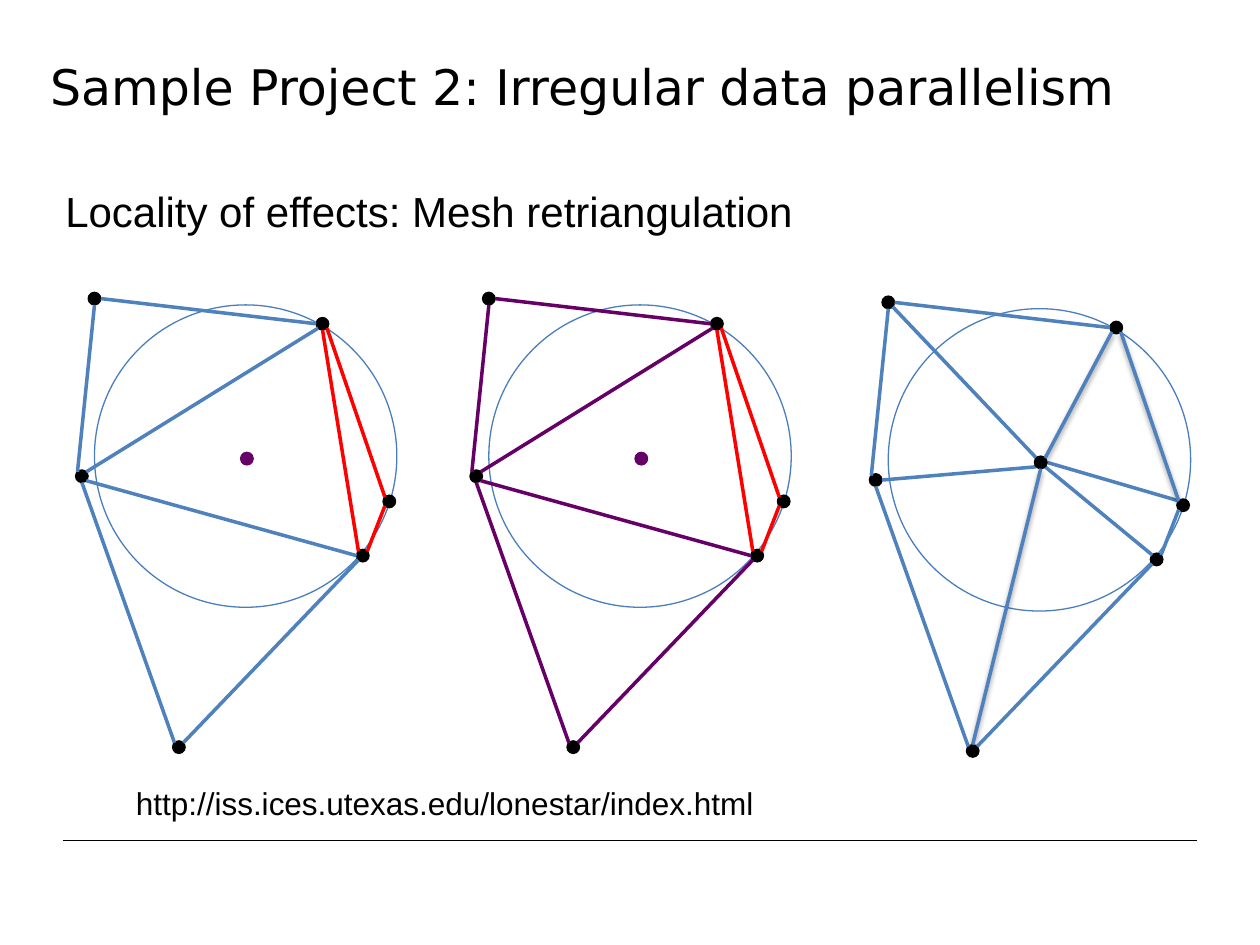
from dataclasses import dataclass

from lxml import etree
from pptx import Presentation
from pptx.dml.color import RGBColor
from pptx.enum.shapes import MSO_CONNECTOR, MSO_SHAPE
from pptx.enum.text import MSO_ANCHOR
from pptx.oxml.ns import qn
from pptx.util import Inches, Pt

STRAIGHT = MSO_CONNECTOR.STRAIGHT
OVAL = MSO_SHAPE.OVAL
TOP, MIDDLE = MSO_ANCHOR.TOP, MSO_ANCHOR.MIDDLE


@dataclass(frozen=True)
class Theme:
    ink: str = "000000"
    circle: str = "4B7EBC"
    mesh: str = "4F81BD"
    cavity: str = "660066"
    bad: str = "FF0000"
    title_font: str = "DejaVu Sans"
    body_font: str = "Arial"
    title_size: int = 28
    heading_size: int = 24
    link_size: int = 18
    edge_width: float = 2
    thin_width: float = 0.75
    rule_width: float = 0.5


THEME = Theme()
WIDTH, HEIGHT = Inches(10), Inches(7.5)
COLUMNS, ROWS = 100, 75

DOT = 1
CIRCLE = (1.5, 1, 24, 24)
VERTICES = {
    "NW": (1.5, 0.5), "NE": (19.6, 2.5), "W": (0.5, 14.6),
    "E": (24.9, 16.6), "SE": (22.8, 20.9), "S": (8.2, 36.1),
}
CENTER = (13.6, 13.2)
DIAGONAL = 0.35
SITES = {
    "t": (0, -0.5), "b": (0, 0.5), "l": (-0.5, 0), "r": (0.5, 0),
    "tl": (-DIAGONAL, -DIAGONAL), "tr": (DIAGONAL, -DIAGONAL),
    "bl": (-DIAGONAL, DIAGONAL), "br": (DIAGONAL, DIAGONAL),
}
OUTLINE = ["NE.l NW.r", "NW.b W.tl", "W.b S.tl", "S.tr SE.bl"]
OLD_INNER = ["NE.bl W.tr", "SE.l W.br"]
BAD_TRIANGLE = ["NE.br E.tl", "E.bl SE.tr", "NE.b SE.tl"]
NEW_INNER = ["C.tl NW.br", "C.bl W.r", "C.r E.tl", "E.bl SE.tr", "C.br SE.tl"]
NEW_SHADED = ["C.b S.t", "NE.bl C.tr", "NE.br E.tl"]


def col(count):
    return round(WIDTH * count / COLUMNS)


def row(count):
    return round(HEIGHT * count / ROWS)


def rgb(value):
    return RGBColor.from_string(value)


def add_line(slide, start, end, color, width, shaded=False):
    line = slide.shapes.add_connector(
        STRAIGHT, col(start[0]), row(start[1]), col(end[0]), row(end[1]))
    line.line.color.rgb = rgb(color)
    line.line.width = Pt(width)
    effects = etree.SubElement(line._element.spPr, qn("a:effectLst"))
    if shaded:
        shadow = etree.SubElement(
            effects, qn("a:outerShdw"), blurRad=str(Pt(3.1)),
            dist=str(Pt(1.6)), dir="5400000", rotWithShape="0")
        shade = etree.SubElement(shadow, qn("a:srgbClr"), val=THEME.ink)
        etree.SubElement(shade, qn("a:alpha"), val="38000")


def add_oval(slide, box, line_color, fill_color=None):
    left, top, width, height = box
    oval = slide.shapes.add_shape(OVAL, col(left), row(top), col(width), row(height))
    oval.shadow.inherit = False
    oval.line.color.rgb = rgb(line_color)
    oval.line.width = Pt(THEME.thin_width)
    if fill_color:
        oval.fill.solid()
        oval.fill.fore_color.rgb = rgb(fill_color)
    else:
        oval.fill.background()


def add_dot(slide, center, color):
    x, y = center
    add_oval(slide, (x - DOT / 2, y - DOT / 2, DOT, DOT), color, color)


def add_label(slide, box, text, font, size, anchor=TOP):
    left, top, width, height = box
    label = slide.shapes.add_textbox(col(left), row(top), col(width), row(height))
    frame = label.text_frame
    frame.word_wrap = True
    frame.vertical_anchor = anchor
    paragraph = frame.paragraphs[0]
    paragraph.text = text
    paragraph.font.name = font
    paragraph.font.size = Pt(size)
    paragraph.font.color.rgb = rgb(THEME.ink)


def add_mesh(slide, origin, edge_groups, center_color, shaded_edges=()):
    left, top = origin
    points = {name: (left + x, top + y)
              for name, (x, y) in {**VERTICES, "C": CENTER}.items()}

    def place(end):
        name, site = end.split(".")
        return tuple(p + s for p, s in zip(points[name], SITES[site]))

    def draw_edges(edges, color, shaded=False):
        for edge in edges:
            start, end = map(place, edge.split())
            add_line(slide, start, end, color, THEME.edge_width, shaded)

    x, y, width, height = CIRCLE
    add_oval(slide, (left + x, top + y, width, height), THEME.circle)
    for name in VERTICES:
        add_dot(slide, points[name], THEME.ink)
    for edges, color in edge_groups:
        draw_edges(edges, color)
    add_dot(slide, points["C"], center_color)
    draw_edges(shaded_edges, THEME.mesh, shaded=True)


def add_header(slide):
    add_label(slide, (3, 0.6, 90, 12.5), "Sample Project 2: Irregular data parallelism",
              THEME.title_font, THEME.title_size, MIDDLE)
    add_label(slide, (4.2, 14.2, 70, 5), "Locality of effects: Mesh retriangulation",
              THEME.body_font, THEME.heading_size)


def add_footer(slide):
    add_line(slide, (5, 66.7), (95, 66.7), THEME.ink, THEME.rule_width)
    add_label(slide, (9.8, 61.7, 59.7, 4), "http://iss.ices.utexas.edu/lonestar/index.html",
              THEME.body_font, THEME.link_size)


def main():
    deck = Presentation()
    deck.slide_width, deck.slide_height = WIDTH, HEIGHT
    slide = deck.slides.add_slide(deck.slide_layouts[6])
    add_footer(slide)
    for left, color in ((6, THEME.mesh), (37.3, THEME.cavity)):
        add_mesh(slide, (left, 23.2),
                 [(OLD_INNER + OUTLINE, color), (BAD_TRIANGLE, THEME.bad)], THEME.cavity)
    add_mesh(slide, (69, 23.5), [(OUTLINE + NEW_INNER, THEME.mesh)], THEME.ink, NEW_SHADED)
    add_header(slide)
    deck.save("out.pptx")


if __name__ == "__main__":
    main()
